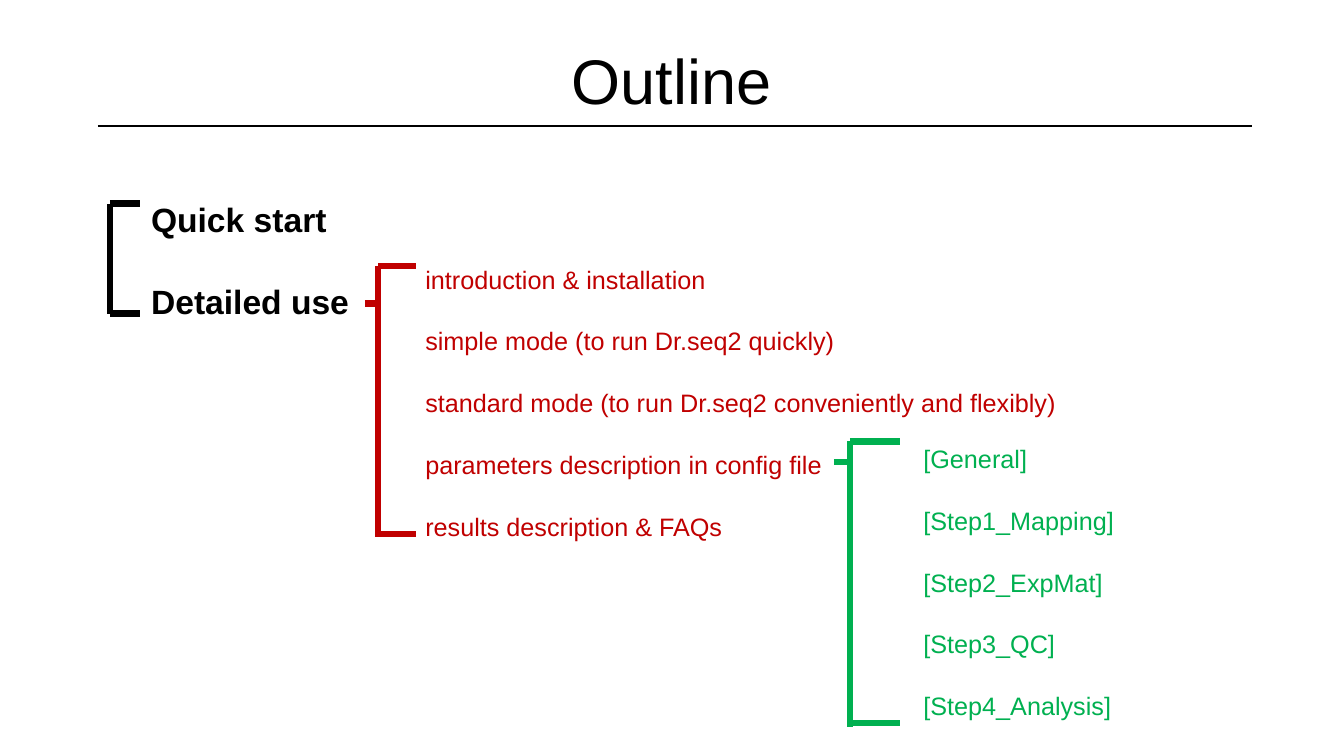
from lxml.etree import SubElement as Sub
from pptx import Presentation
from pptx.dml.color import RGBColor as Rgb
from pptx.enum.shapes import MSO_CONNECTOR as Conn
from pptx.enum.text import MSO_ANCHOR as Anchor, PP_ALIGN as Align
from pptx.oxml.ns import qn
from pptx.util import Pt

SCALE = 9144
BLACK, RED, GREEN = "000000", "C00000", "00B050"
MAIN = ["Quick start", "Detailed use"]
PARTS = [
    "introduction & installation",
    "simple mode (to run Dr.seq2 quickly)",
    "standard mode (to run Dr.seq2 conveniently and flexibly)",
    "parameters description in config file",
    "results description & FAQs",
]
STEPS = ["[General]", "[Step1_Mapping]", "[Step2_ExpMat]", "[Step3_QC]", "[Step4_Analysis]"]


def px(n):
    return n * SCALE


def hue(code):
    return Rgb.from_string(code)


def line(slide, start, end, color, width=4.5):
    rule = slide.shapes.add_connector(Conn.STRAIGHT, *map(px, start + end))
    rule.line.color.rgb = hue(color)
    rule.line.width = Pt(width)
    Sub(rule._element.spPr, qn("a:effectLst"))


def text(slide, box, items, size, color, gap=0, bold=False, level=0,
         align=Align.LEFT, anchor=Anchor.TOP):
    frame = slide.shapes.add_textbox(*map(px, box)).text_frame
    frame.word_wrap = True
    frame.vertical_anchor = anchor
    for i, item in enumerate(items):
        para = frame.add_paragraph() if i else frame.paragraphs[0]
        para.level = level
        para.alignment = align
        if i:
            para.space_before = Pt(gap)
        run = para.add_run()
        run.text = item
        run.font.name = "Arial"
        run.font.size = Pt(size)
        run.font.bold = bold
        run.font.color.rgb = hue(color)


def bracket(slide, left, right, top, low, foot, color, stub=None):
    line(slide, (left, top), (left, foot), color)
    for y in (top, low):
        line(slide, (left, y), (right, y), color)
    if stub:
        line(slide, stub, (left - 2, stub[1]), color)


def main():
    deck = Presentation()
    deck.slide_width, deck.slide_height = px(1333), px(750)
    slide = deck.slides.add_slide(deck.slide_layouts[6])

    line(slide, (97, 125), (1242, 125), BLACK, 2)
    text(slide, (94, 33, 1144, 92), ["Outline"], 45, BLACK,
         align=Align.CENTER, anchor=Anchor.MIDDLE)

    text(slide, (140, 192, 253, 131), MAIN, 24, BLACK, gap=30.3, bold=True)
    bracket(slide, 109, 139, 202, 311, 312, BLACK)

    text(slide, (362, 257, 780, 283), PARTS, 18, RED, gap=22.5, level=1)
    bracket(slide, 375, 413, 264, 530, 533, RED, stub=(362, 301))

    bracket(slide, 843, 893, 438, 717, 721, GREEN, stub=(827, 458))
    text(slide, (906, 435, 225, 283), STEPS, 18, GREEN, gap=22.5)

    deck.save("out.pptx")


if __name__ == "__main__":
    main()
